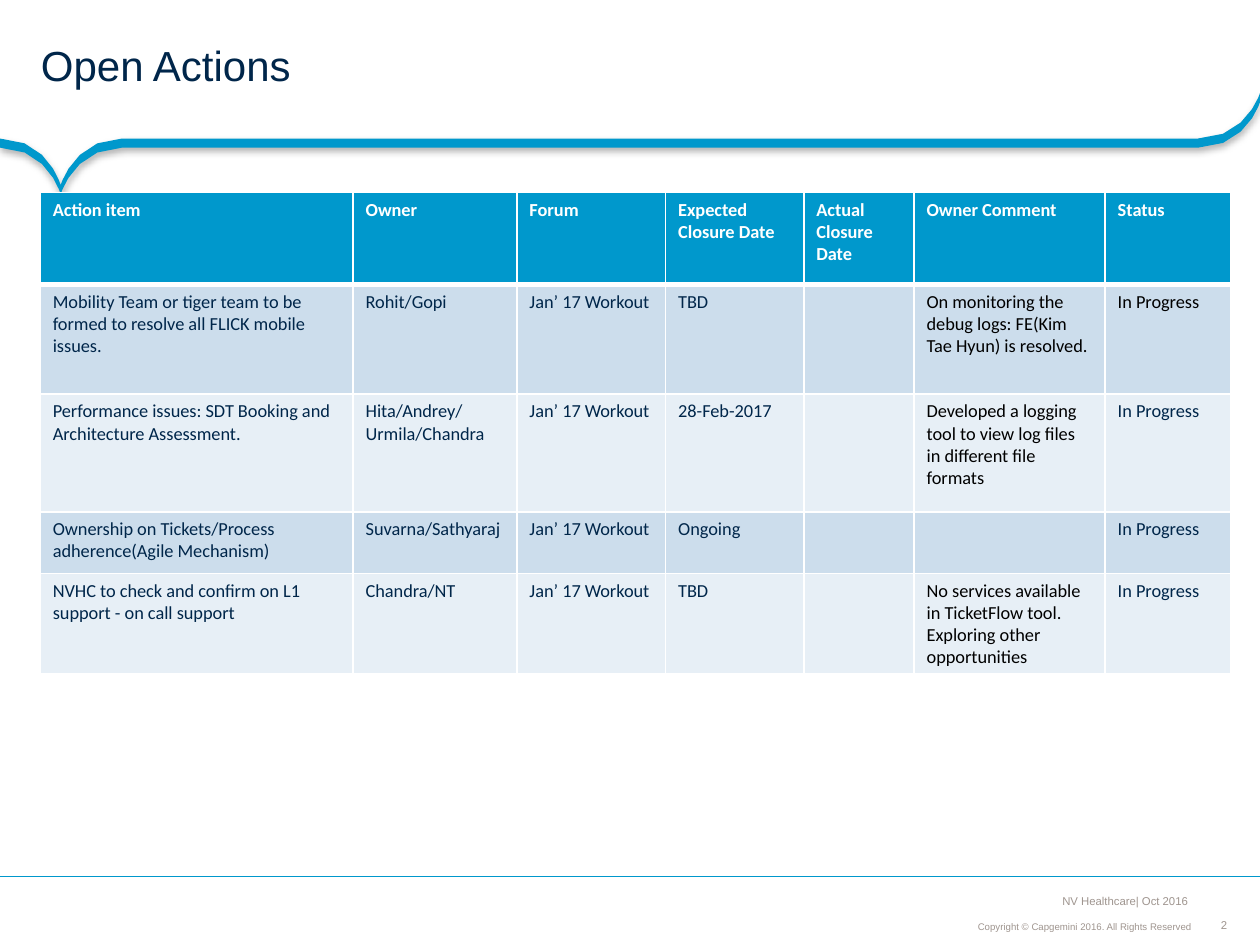
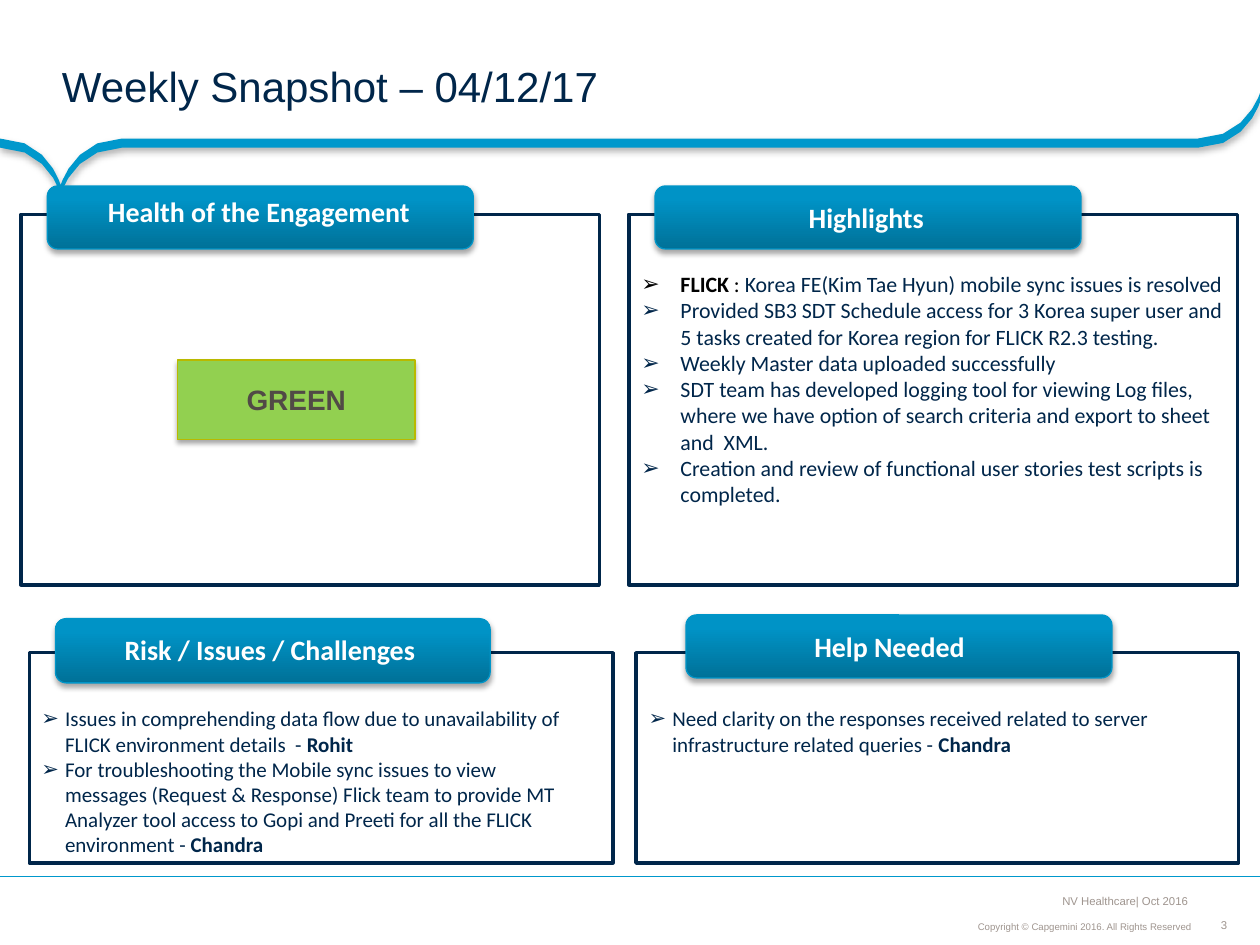
"""Build the open actions and weekly snapshot slides."""
import lxml.etree
import pptx
import pptx.dml.color
import pptx.enum.shapes
import pptx.enum.text
import pptx.oxml.ns
import pptx.util

Pt = pptx.util.Pt
RGB = pptx.dml.color.RGBColor
Shape = pptx.enum.shapes.MSO_SHAPE
Align = pptx.enum.text.PP_ALIGN
Anchor = pptx.enum.text.MSO_ANCHOR
qn = pptx.oxml.ns.qn

BLUE = RGB(0x00, 0x98, 0xCC)
EDGE = RGB(0x00, 0x95, 0xC8)
NAVY = RGB(0x00, 0x26, 0x4A)
BLACK = RGB(0x00, 0x00, 0x00)
WHITE = RGB(0xFF, 0xFF, 0xFF)
GREY = RGB(0x9F, 0x95, 0x8F)
GREEN = RGB(0x92, 0xD0, 0x50)
OLIVE = RGB(0xB9, 0xB9, 0x00)
BROWN = RGB(0x51, 0x4A, 0x46)
DARK = RGB(0xCC, 0xDD, 0xEC)
LIGHT = RGB(0xE7, 0xEF, 0xF6)
RAMP = [(0, "007198"), (80, "0093C6"), (100, "0094C7")]

WIDE, HIGH = 720, 540
TIGHT = (2.9, 2.9, 2.9, 2.9)
INSET = (7.2, 3.6, 7.2, 3.6)

COLS = [178.8, 93.6, 85, 79, 63, 109.2, 71.6]
ROWS = [52.6, 62.7, 67.3, 35.1, 57.6]
HEADS = ["Action item", "Owner", "Forum", "Expected Closure Date",
         "Actual Closure Date", "Owner Comment", "Status"]
FORUM, STATE = "Jan’ 17 Workout", "In Progress"
TASKS = [
    ("Mobility Team or tiger team to be formed to resolve all FLICK mobile issues.",
     "Rohit/Gopi", "TBD",
     "On monitoring the debug logs: FE(Kim Tae Hyun) is resolved."),
    ("Performance issues: SDT Booking and Architecture Assessment.",
     "Hita/Andrey/Urmila/Chandra", "28-Feb-2017",
     "Developed a logging tool to view log files in different file formats"),
    ("Ownership on Tickets/Process adherence(Agile Mechanism)",
     "Suvarna/Sathyaraj", "Ongoing", ""),
    ("NVHC to check and confirm on L1 support - on call support",
     "Chandra/NT", "TBD",
     "No services available in TicketFlow tool. Exploring other opportunities"),
]

PANELS = [
    ("Health of the Engagement", (12, 122.5, 330.5, 211.7),
     (27, 106.3, 243.4, 36), (49.7, 107.6, 196.6, 26.6)),
    ("Highlights", (359.3, 122.5, 348, 211.7),
     (374.3, 106.3, 243.4, 36), (452.2, 110.9, 85.7, 26.6)),
    ("Help Needed", (363.4, 373, 344.4, 120.2),
     (392, 351.4, 243.4, 36), (456.5, 356.4, 103.7, 26.6)),
    ("Risk / Issues / Challenges", (16.8, 373, 333.4, 120.2),
     (31.7, 353.5, 248.4, 36.7), (60.7, 357.8, 187.2, 26.6)),
]
NEWS = [
    [("FLICK", True, BLACK), (" : ", False, BLACK),
     "Korea FE(Kim Tae Hyun) mobile sync issues is resolved"],
    ["Provided SB3 SDT Schedule access for 3 Korea super user and 5 tasks "
     "created for Korea region for FLICK R2.3 testing."],
    ["Weekly Master data uploaded successfully"],
    ["SDT team has developed logging tool for viewing Log files, where we have "
     "option of search criteria and export to sheet and  XML."],
    ["Creation and review of functional user stories test scripts is completed."],
]
RISKS = [
    ["Issues in comprehending data flow due to unavailability of FLICK "
     "environment details  - ", ("Rohit", True, NAVY)],
    ["For troubleshooting the Mobile sync issues to view messages (Request & "
     "Response) Flick team to provide MT Analyzer tool access to Gopi and Preeti "
     "for all the FLICK environment - ", ("Chandra", True, NAVY)],
]
HELP = [
    ["Need clarity on the responses received related to server infrastructure "
     "related queries - ", ("Chandra", True, NAVY)],
]


def points(box):
    """Turn a box of numbers into lengths."""
    return [Pt(side) for side in box]


def write(frame, paras, size=12, font="Calibri", color=NAVY, bold=False,
          align=None, lead=None, hang=0):
    """Fill a text frame with paragraphs of plain or (text, bold, color) runs."""
    for i, runs in enumerate(paras):
        para = frame.paragraphs[0] if i == 0 else frame.add_paragraph()
        if hang:
            props = para._p.get_or_add_pPr()
            props.set("marL", str(Pt(hang)))
            props.set("indent", str(-Pt(hang)))
            lxml.etree.SubElement(props, qn("a:buFont"), typeface="Arial")
            lxml.etree.SubElement(props, qn("a:buChar"), char="➢")
        para.alignment = align
        para.line_spacing = lead
        for part in runs:
            words, heavy, tint = (part, bold, color) if isinstance(part, str) else part
            run = para.add_run()
            run.text = words
            run.font.size = Pt(size)
            run.font.name = font
            run.font.bold = heavy
            run.font.color.rgb = tint


def label(slide, box, paras, anchor=Anchor.TOP, inset=INSET, wrap=True, **style):
    """Add a text box."""
    frame = slide.shapes.add_textbox(*points(box)).text_frame
    frame.word_wrap = wrap
    frame.vertical_anchor = anchor
    (frame.margin_left, frame.margin_top,
     frame.margin_right, frame.margin_bottom) = points(inset)
    write(frame, paras, **style)


def shade(shape, alpha, blur, drop):
    """Give a shape a soft shadow straight below it."""
    shape.shadow.inherit = False
    effects = shape._element.spPr.find(qn("a:effectLst"))
    outer = lxml.etree.SubElement(
        effects, qn("a:outerShdw"), blurRad=str(Pt(blur)), dist=str(Pt(drop)),
        dir="5400000", algn="ctr", rotWithShape="0")
    tint = lxml.etree.SubElement(outer, qn("a:srgbClr"), val="000000")
    lxml.etree.SubElement(tint, qn("a:alpha"), val=str(alpha * 1000))


def block(slide, kind, box, fill, edge, width):
    """Add a filled and outlined preset shape."""
    shape = slide.shapes.add_shape(kind, *points(box))
    shape.shadow.inherit = False
    shape.fill.solid()
    shape.fill.fore_color.rgb = fill
    shape.line.color.rgb = edge
    shape.line.width = Pt(width)
    return shape


def blend(shape):
    """Fill a shape with the upward blue ramp."""
    shape.fill.gradient()
    shape.fill.gradient_angle = 90
    stops = shape._element.spPr.find(qn("a:gradFill")).find(qn("a:gsLst"))
    for stop in list(stops):
        stops.remove(stop)
    for place, tint in RAMP:
        stop = lxml.etree.SubElement(stops, qn("a:gs"), pos=str(place * 1000))
        lxml.etree.SubElement(stop, qn("a:srgbClr"), val=tint)


def curve(start, bend, end, steps=5):
    """Sample a cubic curve whose second handle sits on its end."""
    for i in range(steps + 1):
        t = i / steps
        u = 1 - t
        yield tuple(u**3 * a + 3 * u * u * t * b + (3 * u + t) * t * t * c
                    for a, b, c in zip(start, bend, end))


def ribbon(slide):
    """Draw the curved blue band under the title."""
    flat, tip, thick = 79.2, (34.7, 105.8), 5.2
    fall = list(curve((0, flat), (27.4, flat), tip))
    climb = list(curve((69.8, flat), (42.5, flat), tip))
    sweep = list(curve((684.7, flat), (712.1, flat), (WIDE, 53.3)))
    top = fall + climb[-2::-1] + sweep
    base = [(x, y + thick) for x, y in reversed(top)]
    first, *rest = [points(spot) for spot in top + base]
    pen = slide.shapes.build_freeform(*first)
    pen.add_line_segments(rest)
    band = pen.convert_to_shape()
    band.fill.solid()
    band.fill.fore_color.rgb = BLUE
    band.line.fill.background()
    shade(band, 31, 4, 2)


def frame_slide(deck, title, number, shift=0):
    """Add a slide with the shared band, footer and title."""
    slide = deck.slides.add_slide(deck.slide_layouts[6])
    small = dict(font="Arial", color=GREY)
    label(slide, (695.5, 524.4, 7.9, 7.9), [[str(number)]], anchor=Anchor.MIDDLE,
          inset=(0, 0, 0, 0), wrap=False, size=6.5, align=Align.CENTER, **small)
    ribbon(slide)
    label(slide, (490.1, 521.7, 193.7, 14.4),
          [["Copyright © Capgemini 2016. All Rights Reserved"]], anchor=Anchor.BOTTOM,
          inset=TIGHT, size=5.5, align=Align.RIGHT, lead=0.9, **small)
    label(slide, (542.8, 506.6, 139, 15.1), [["NV Healthcare| Oct 2016"]],
          anchor=Anchor.BOTTOM, inset=TIGHT, size=6.5, align=Align.RIGHT, **small)
    rule = slide.shapes.add_connector(pptx.enum.shapes.MSO_CONNECTOR.STRAIGHT,
                                      *points((WIDE, 500.8, 0, 500.8)))
    rule.line.color.rgb = BLUE
    rule.line.width = Pt(0.75)
    lxml.etree.SubElement(rule._element.spPr, qn("a:effectLst"))
    label(slide, (shift, shift, WIDE, 79.2), [[title]], anchor=Anchor.MIDDLE,
          inset=(23.4, 2.9, 13, 3.9), size=24, font="Arial", lead=0.85)
    return slide


def border(cell, **sides):
    """Draw white cell borders of the given widths."""
    props = cell._tc.get_or_add_tcPr()
    for side, width in sides.items():
        line = lxml.etree.SubElement(props, qn("a:ln" + side), w=str(Pt(width)))
        fill = lxml.etree.SubElement(line, qn("a:solidFill"))
        lxml.etree.SubElement(fill, qn("a:srgbClr"), val=str(WHITE))


def grid(slide):
    """Add the table of actions."""
    rows = [HEADS] + [(task, owner, FORUM, due, "", note, STATE)
                      for task, owner, due, note in TASKS]
    table = slide.shapes.add_table(len(ROWS), len(COLS), *points(
        (23, 110, sum(COLS), sum(ROWS)))).table
    table.horz_banding = False
    for col, width in zip(table.columns, COLS):
        col.width = Pt(width)
    for r, (row, height) in enumerate(zip(rows, ROWS)):
        table.rows[r].height = Pt(height)
        for c, words in enumerate(row):
            cell = table.cell(r, c)
            border(cell, L=1, R=1, T=3 if r == 1 else 1, B=3 if r == 0 else 1)
            cell.fill.solid()
            cell.fill.fore_color.rgb = BLUE if r == 0 else DARK if r % 2 else LIGHT
            black = c == 5 or (r, c) == (1, 6)
            tint = WHITE if r == 0 else BLACK if black else NAVY
            if words:
                write(cell.text_frame, [[words]], size=10.5, color=tint, bold=r == 0)


def panel(slide, name, box, tab, spot):
    """Add an outlined panel with a named tab."""
    block(slide, Shape.RECTANGLE, box, WHITE, NAVY, 2)
    pill = block(slide, Shape.ROUNDED_RECTANGLE, tab, BLUE, EDGE, 0.75)
    blend(pill)
    shade(pill, 35, 3.1, 1.8)
    label(slide, spot, [[name]], wrap=False, size=16, color=WHITE, bold=True,
          align=Align.CENTER)


def main():
    """Build both slides and save them."""
    deck = pptx.Presentation()
    deck.slide_width, deck.slide_height = Pt(WIDE), Pt(HIGH)
    grid(frame_slide(deck, "Open Actions", 2))

    slide = frame_slide(deck, "Weekly Snapshot – 04/12/17", 3, shift=12)
    for item in PANELS:
        panel(slide, *item)
    health = block(slide, Shape.RECTANGLE, (101.5, 205.7, 135.6, 45.4),
                   GREEN, OLIVE, 0.75)
    shade(health, 35, 3.1, 1.8)
    health.text_frame.vertical_anchor = Anchor.MIDDLE
    write(health.text_frame, [["GREEN"]], size=16, font="Arial", color=BROWN,
          bold=True, align=Align.CENTER)
    label(slide, (359.5, 151.2, 348.2, 180), NEWS, size=12.5, hang=22.3)
    label(slide, (363.6, 399.8, 344.2, 65), HELP, hang=13.5)
    label(slide, (16.6, 399.8, 322, 95), RISKS, hang=13.5)
    deck.save("out.pptx")


if __name__ == "__main__":
    main()
